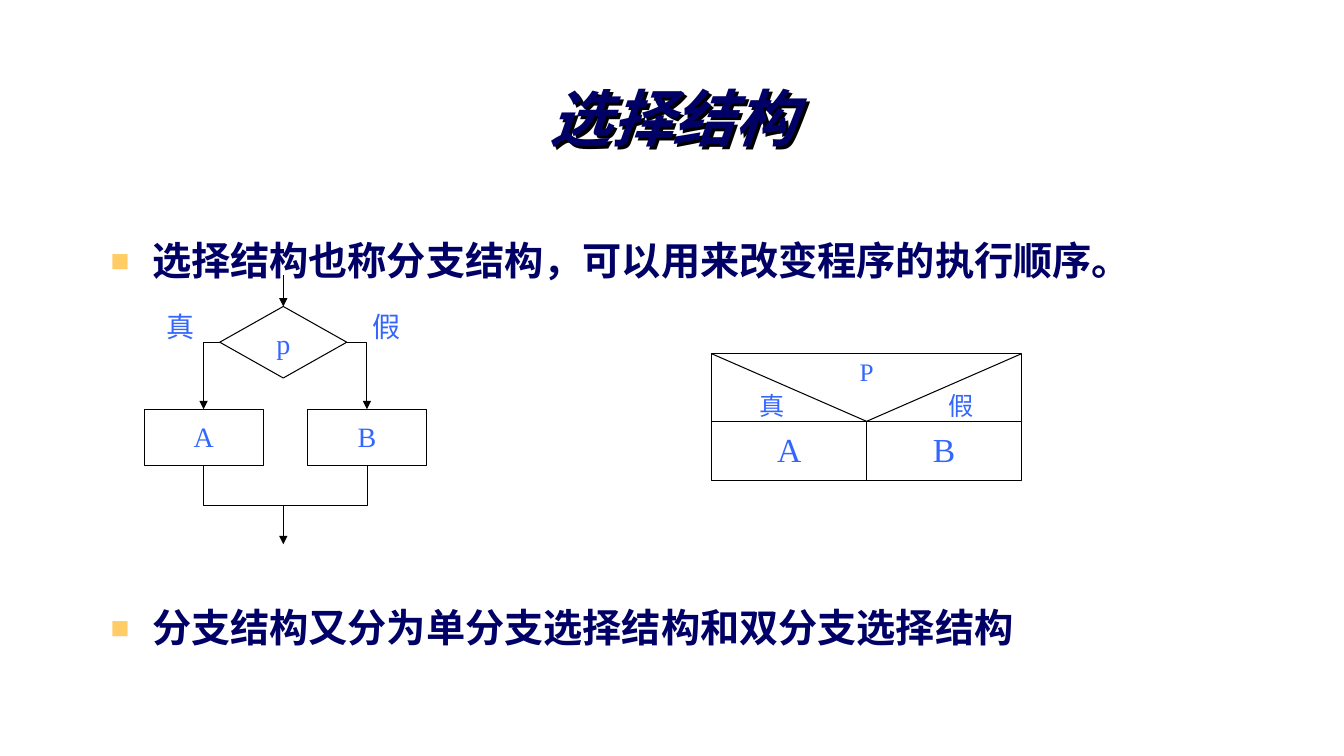
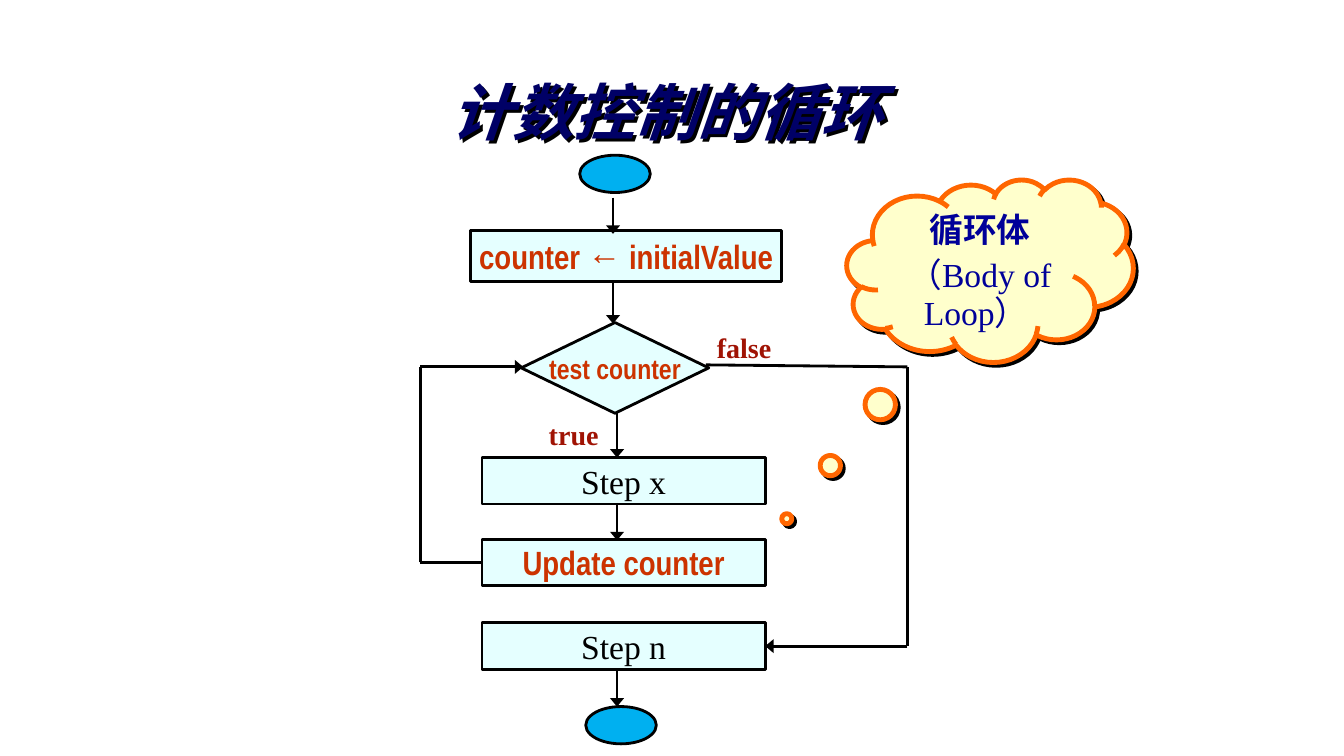
"""Build two slides on selection structures and counter-controlled loops."""
from lxml import etree
from pptx import Presentation
from pptx import util as u
from pptx.dml.color import RGBColor
from pptx.enum import shapes, text
from pptx.oxml.ns import qn

NAVY = RGBColor(0x00, 0x00, 0x66)
INK_BLUE = RGBColor(0x00, 0x00, 0x99)
BLUE = RGBColor(0x33, 0x66, 0xFF)
SKY = RGBColor(0x00, 0xB0, 0xF0)
ICE = RGBColor(0xE5, 0xFF, 0xFF)
CREAM = RGBColor(0xFF, 0xFF, 0xCC)
ORANGE = RGBColor(0xFF, 0x66, 0x00)
RUST = RGBColor(0xCC, 0x33, 0x00)
DARK_RED = RGBColor(0xA0, 0x13, 0x04)
BLACK = RGBColor(0x00, 0x00, 0x00)
BULLET_GOLD = "FFCC66"
SERIF, NARROW = "Times New Roman", "Arial Narrow"
SHAPE = shapes.MSO_SHAPE
LINK = shapes.MSO_CONNECTOR
TOP, LEFT, BOTTOM, RIGHT = range(4)
MIDDLE = text.MSO_ANCHOR.MIDDLE
CENTER = text.PP_ALIGN.CENTER


def cast_shadow(shape):
    """Give a shape, or the text of an unfilled one, a hard black shadow."""
    shape.shadow.inherit = False
    effects = shape._element.spPr.find(qn("a:effectLst"))
    shadow = etree.SubElement(effects, qn("a:outerShdw"), dist="35560", dir="2700000", algn="ctr")
    etree.SubElement(shadow, qn("a:srgbClr"), val="000000")


def add_bullet(paragraph):
    """Give a paragraph a hanging gold square."""
    props = paragraph._p.get_or_add_pPr()
    props.set("marL", str(u.Inches(0.41)))
    props.set("indent", str(-u.Inches(0.41)))
    colour = etree.SubElement(props, qn("a:buClr"))
    etree.SubElement(colour, qn("a:srgbClr"), val=BULLET_GOLD)
    etree.SubElement(props, qn("a:buSzPct"), val="80000")
    etree.SubElement(props, qn("a:buFont"), typeface=SERIF)
    etree.SubElement(props, qn("a:buChar"), char="■")


def write(frame, *lines, size=20, color=BLACK, font=SERIF, bold=False, italic=False,
          align=CENTER, anchor=MIDDLE, wrap=True, spacing=0.95, gap=0, bullet=False):
    """Fill a text frame with one formatted paragraph per line."""
    frame.word_wrap = wrap
    frame.auto_size = text.MSO_AUTO_SIZE.NONE
    frame.vertical_anchor = anchor
    for number, line in enumerate(lines):
        paragraph = frame.add_paragraph() if number else frame.paragraphs[0]
        if bullet:
            add_bullet(paragraph)
        paragraph.alignment = align
        paragraph.line_spacing = spacing
        if number:
            paragraph.space_before = u.Pt(gap)
        run = paragraph.add_run()
        run.text = line
        run.font.name, run.font.size = font, u.Pt(size)
        run.font.bold, run.font.italic = bold, italic
        run.font.color.rgb = color


class Deck:
    """Hold the shared style and the slide being drawn."""

    def __init__(self):
        """Start a widescreen presentation."""
        self.prs = Presentation()
        self.prs.slide_width, self.prs.slide_height = u.Inches(13.33), u.Inches(7.5)
        self.slide = None
        self.weight = 1
        self.head_width = "med"

    def start(self, title, box, weight, head_width):
        """Open a slide with its title and line style."""
        self.slide = self.prs.slides.add_slide(self.prs.slide_layouts[5])
        self.weight, self.head_width = weight, head_width
        heading = self.slide.shapes.title
        heading.left, heading.top, heading.width, heading.height = map(u.Inches, box)
        write(heading.text_frame, title, size=44, color=NAVY, bold=True, italic=True,
              spacing=0.85)
        cast_shadow(heading)

    def textbox(self, box, *lines, **style):
        """Add a plain text box."""
        frame = self.slide.shapes.add_textbox(*map(u.Inches, box)).text_frame
        write(frame, *lines, **style)
        return frame

    def label(self, x, y, caption, **style):
        """Centre a short caption on a point."""
        frame = self.textbox((x - 0.4, y - 0.2, 0.8, 0.4), caption, wrap=False, **style)
        frame.margin_left = frame.margin_right = frame.margin_top = frame.margin_bottom = 0

    def node(self, kind, box, *lines, fill=None, line=BLACK, weight=None, **style):
        """Add an outlined shape, with text if given."""
        shape = self.slide.shapes.add_shape(kind, *map(u.Inches, box))
        shape.shadow.inherit = False
        if fill is None:
            shape.fill.background()
        else:
            shape.fill.solid()
            shape.fill.fore_color.rgb = fill
        shape.line.color.rgb = line
        shape.line.width = u.Pt(weight or self.weight)
        if lines:
            write(shape.text_frame, *lines, **style)
        return shape

    def connect(self, kind, start, stop, begin=None, end=None, arrow=True):
        """Add one connector, joined to shapes where given."""
        link = self.slide.shapes.add_connector(kind, *map(u.Inches, start + stop))
        link.line.color.rgb = BLACK
        link.line.width = u.Pt(self.weight)
        if arrow:
            etree.SubElement(link.line._get_or_add_ln(), qn("a:tailEnd"),
                             type="triangle", w=self.head_width, len="med")
        etree.SubElement(link._element.spPr, qn("a:effectLst"))
        if begin:
            link.begin_connect(*begin)
        if end:
            link.end_connect(*end)
        return link

    def route(self, *points, begin=None, end=None, arrow=True):
        """Draw straight segments through points, joined to shapes at the ends."""
        last = len(points) - 2
        for number, (start, stop) in enumerate(zip(points, points[1:])):
            self.connect(LINK.STRAIGHT, start, stop, begin if number == 0 else None,
                         end if number == last else None, arrow and number == last)

    def corner(self, start, stop, down_first=False, **ends):
        """Draw a connector with one right-angled turn."""
        link = self.connect(LINK.ELBOW, start, stop, **ends)
        link._element.spPr.find(qn("a:prstGeom")).set("prst", "bentConnector2")
        if down_first:
            (x, y), (end_x, end_y) = start, stop
            across, down = abs(end_x - x), abs(end_y - y)
            link.left = u.Inches((x + end_x - down) / 2)
            link.top = u.Inches((y + end_y - across) / 2)
            link.width, link.height = u.Inches(down), u.Inches(across)
            frame = link._element.spPr.find(qn("a:xfrm"))
            frame.set("rot", "16200000" if end_x > x else "5400000")
            frame.set("flipH", "1" if end_x > x else "0")


def selection_slide(deck):
    """Show selection as a flowchart and as a box diagram."""
    deck.start("选择结构", (0.99, 0.76, 11.37, 0.92), 0.75, "med")
    deck.textbox((1, 1.94, 11.33, 4.96),
                 "选择结构也称分支结构，可以用来改变程序的执行顺序。",
                 "分支结构又分为单分支选择结构和双分支选择结构",
                 size=28, color=NAVY, bold=True, align=text.PP_ALIGN.LEFT, gap=230, bullet=True)

    axis, merge_y = 2.81, 5.01
    test = deck.node(SHAPE.FLOWCHART_DECISION, (2.18, 3.04, 1.26, 0.71), "p",
                     color=BLUE, anchor=text.MSO_ANCHOR.TOP)
    deck.route((axis, 2.73), (axis, 3.04), end=(test, TOP))
    branches = (("A", "真", 2.02, 1.79, 2.18, LEFT), ("B", "假", 3.64, 3.83, 3.44, RIGHT))
    for name, answer, x, answer_x, exit_x, side in branches:
        step = deck.node(SHAPE.FLOWCHART_PROCESS, (x - 0.59, 4.06, 1.18, 0.56), name, color=BLUE)
        deck.label(answer_x, 3.25, answer, color=BLUE)
        deck.corner((exit_x, 3.4), (x, 4.06), begin=(test, side), end=(step, TOP))
        deck.corner((x, 4.62), (axis, merge_y), down_first=True, begin=(step, BOTTOM),
                    arrow=False)
    deck.route((axis, merge_y), (axis, 5.4))

    left, top, half, head = 7.06, 3.51, 1.535, 0.67
    condition = deck.node(SHAPE.RECTANGLE, (left, top, 2 * half, head), "P",
                          size=18, color=BLUE, anchor=text.MSO_ANCHOR.TOP)
    for column, (name, answer, answer_x) in enumerate((("A", "真", 7.66), ("B", "假", 9.53))):
        deck.node(SHAPE.RECTANGLE, (left + column * half, top + head, half, 0.59), name,
                  size=24, color=BLUE)
        deck.label(answer_x, 4.04, answer, size=18, color=BLUE)
        deck.route((left + column * 2 * half, top), (left + half, top + head),
                   end=(condition, BOTTOM), arrow=False)


def loop_slide(deck):
    """Show the flowchart of a counter-controlled loop."""
    deck.start("计数控制的循环", (2.3, 0.69, 8.62, 0.93), 2, "lg")
    entry_x, body_x, test_y = 6.08, 6.12, 3.64
    control = dict(fill=ICE, color=RUST, font=NARROW, bold=True, wrap=False, spacing=1)
    action = dict(fill=ICE, size=24, wrap=False, spacing=1)

    for x, y in ((5.75, 1.54), (5.81, 7.01)):
        deck.node(SHAPE.OVAL, (x, y, 0.7, 0.37), fill=SKY)
    deck.node(SHAPE.RECTANGLE, (4.67, 2.29, 3.08, 0.5), "counter ← initialValue",
              size=24, **control)
    deck.node(SHAPE.DIAMOND, (5.17, 3.2, 1.86, 0.9), "test counter", **control)
    deck.node(SHAPE.RECTANGLE, (4.78, 4.54, 2.81, 0.46), "Step x", **action)
    update = deck.node(SHAPE.RECTANGLE, (4.78, 5.35, 2.81, 0.46), "Update counter",
                       size=24, **control)
    after = deck.node(SHAPE.RECTANGLE, (4.78, 6.18, 2.81, 0.46), "Step n", **action)

    for x, y, next_y in ((entry_x, 1.96, 2.32), (entry_x, 2.79, 3.21), (body_x, 4.09, 4.54),
                         (body_x, 4.99, 5.36), (body_x, 6.63, 7.01)):
        deck.route((x, y), (x, next_y))
    deck.route((4.78, 5.58), (4.17, 5.58), (4.17, test_y), (5.19, test_y), begin=(update, LEFT))
    deck.route((7, 3.62), (9, test_y), (9, 6.41), (7.59, 6.41), end=(after, RIGHT))
    deck.label(7.38, 3.46, "false", color=DARK_RED, bold=True)
    deck.label(5.69, 4.32, "true", color=DARK_RED, bold=True)

    body = deck.node(SHAPE.CLOUD_CALLOUT, (8.4, 1.78, 2.84, 1.81), "循环体", "（Body of Loop） ",
                     fill=CREAM, line=ORANGE, weight=3.5, size=24, color=INK_BLUE,
                     anchor=text.MSO_ANCHOR.TOP, gap=4.8)
    body.adjustments[0], body.adjustments[1] = -0.71, 1.36
    body.text_frame.paragraphs[0].runs[0].font.bold = True
    cast_shadow(body)


def main():
    """Build and save the deck."""
    deck = Deck()
    selection_slide(deck)
    loop_slide(deck)
    deck.prs.save("out.pptx")


if __name__ == "__main__":
    main()
